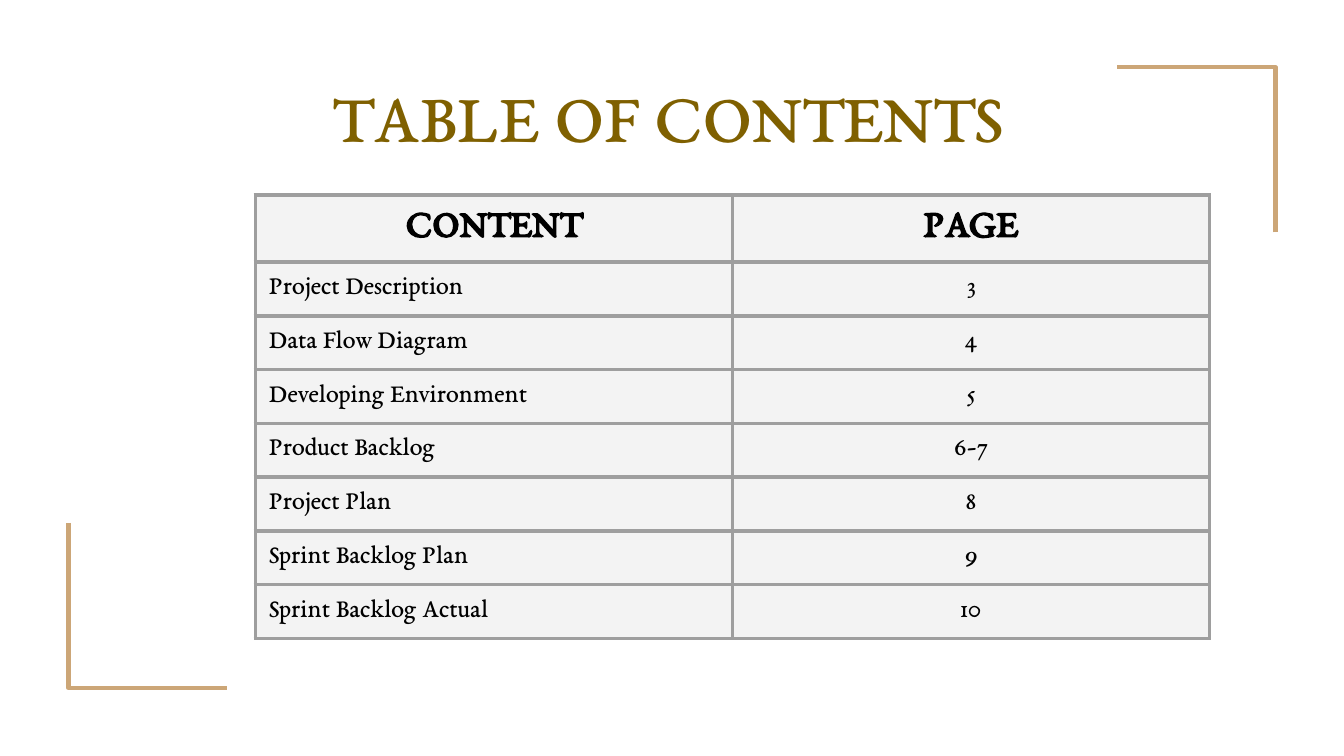
from lxml import etree
from pptx import Presentation
from pptx.dml.color import RGBColor
from pptx.enum.text import PP_ALIGN
from pptx.oxml.ns import qn
from pptx.util import Inches, Pt

CENTER, LEFT = PP_ALIGN.CENTER, PP_ALIGN.LEFT
TAN = RGBColor(0xCC, 0xA6, 0x77)
OLIVE = RGBColor(0x7F, 0x60, 0x00)
BLACK = RGBColor(0, 0, 0)
PALE = RGBColor(0xF3, 0xF3, 0xF3)
GRAY = RGBColor(0x9E, 0x9E, 0x9E)
FONT = "EB Garamond"
LINE_WIDTH = Pt(2.25)

TITLE = "TABLE OF CONTENTS"
ROWS = [
    ("CONTENT", "PAGE"),
    ("Project Description", "3"),
    ("Data Flow Diagram", "4"),
    ("Developing Environment", "5"),
    ("Product Backlog", "6-7"),
    ("Project Plan", "8"),
    ("Sprint Backlog Plan", "9"),
    ("Sprint Backlog Actual", "10"),
]
CORNERS = [
    [(9.49, 1.73), (9.49, 0.5), (8.31, 0.5)],
    [(0.51, 3.89), (0.51, 5.12), (1.69, 5.12)],
]
HEADER_HEIGHT, ROW_HEIGHT, COL_WIDTH = 0.5, 0.4, 3.55
HEADER_FORMAT = {"size": Pt(21), "bold": True}
ROW_FORMAT = {"size": Pt(14), "bold": False}


def set_margins(box):
    """Give a cell or text frame equal insets."""
    for side in ("left", "top", "right", "bottom"):
        setattr(box, f"margin_{side}", Inches(0.1))


def write(tf, text, align, color, formats):
    p = tf.paragraphs[0]
    p.alignment = align
    r = p.add_run()
    r.text = text
    r.font.name = FONT
    r.font.color.rgb = color
    for name, value in formats.items():
        setattr(r.font, name, value)


def add_corner(s, points):
    points = [(Inches(x), Inches(y)) for x, y in points]
    builder = s.shapes.build_freeform(*points[0])
    builder.add_line_segments(points[1:], close=False)
    sp = builder.convert_to_shape()
    sp.shadow.inherit = False
    sp.fill.background()
    sp.line.color.rgb = TAN
    sp.line.width = LINE_WIDTH


def add_borders(cell):
    tc_pr = cell._tc.get_or_add_tcPr()
    for i, side in enumerate(("lnL", "lnR", "lnT", "lnB")):
        ln = etree.Element(qn(f"a:{side}"), w=str(LINE_WIDTH))
        fill = etree.SubElement(ln, qn("a:solidFill"))
        etree.SubElement(fill, qn("a:srgbClr"), val=str(GRAY))
        tc_pr.insert(i, ln)


prs = Presentation()
prs.slide_width = Inches(10)
prs.slide_height = prs.slide_width * 9 // 16
s = prs.slides.add_slide(prs.slide_layouts[6])

for corner in CORNERS:
    add_corner(s, corner)

heights = [HEADER_HEIGHT] + [ROW_HEIGHT] * (len(ROWS) - 1)
table = s.shapes.add_table(len(ROWS), 2, Inches(1.9), Inches(1.45),
                           Inches(2 * COL_WIDTH), Inches(sum(heights))).table
for i, (row, height) in enumerate(zip(ROWS, heights)):
    table.rows[i].height = Inches(height)
    for j, text in enumerate(row):
        cell = table.cell(i, j)
        cell.fill.solid()
        cell.fill.fore_color.rgb = PALE
        add_borders(cell)
        set_margins(cell)
        write(cell.text_frame, text, CENTER if i == 0 or j == 1 else LEFT, BLACK,
              HEADER_FORMAT if i == 0 else ROW_FORMAT)

title = s.shapes.add_textbox(Inches(-0.06), Inches(0.43), Inches(10.06), Inches(0.84))
tf = title.text_frame
tf.word_wrap = True
set_margins(tf)
write(tf, TITLE, CENTER, OLIVE, {"size": Pt(38)})

prs.save("out.pptx")
